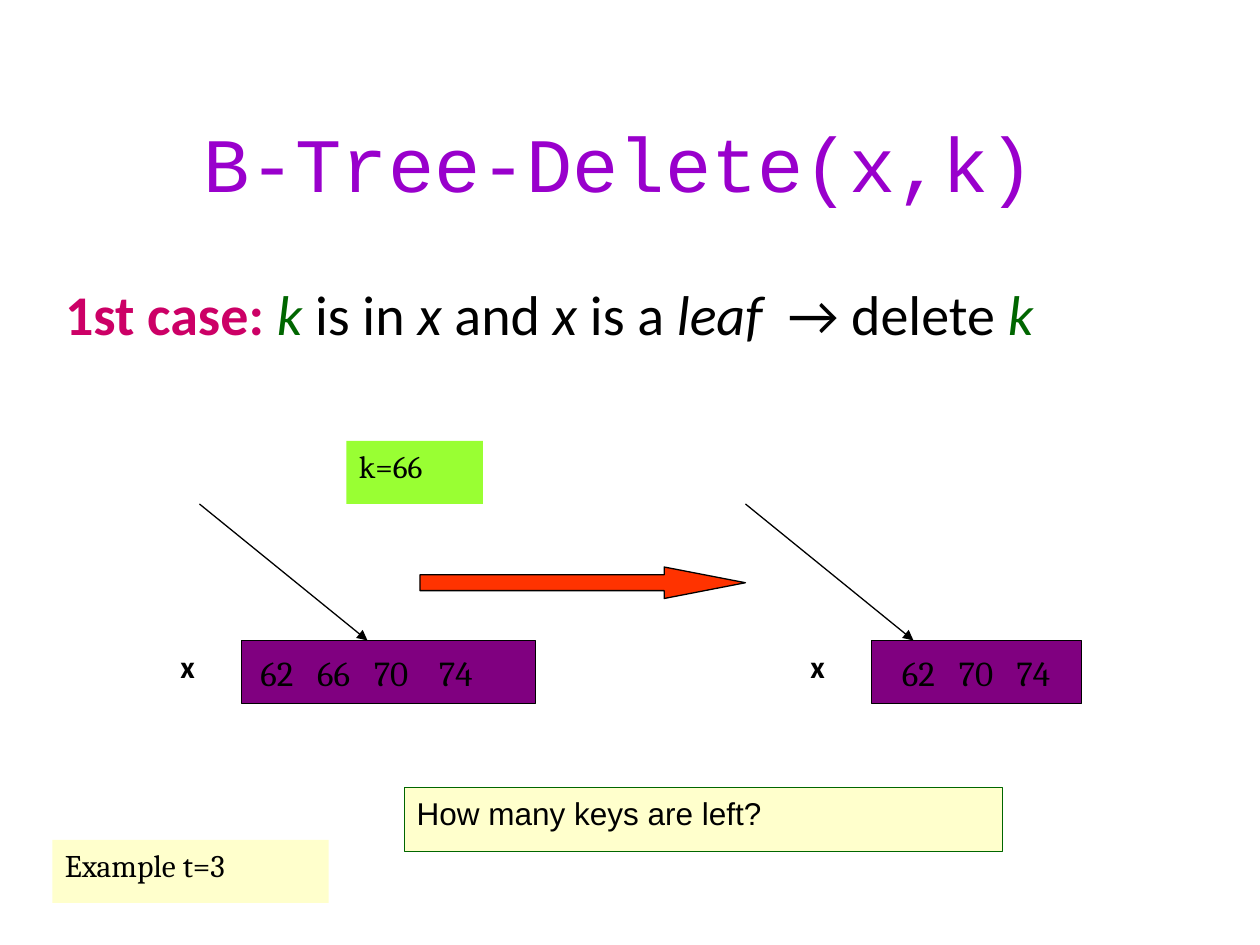
from dataclasses import dataclass
from typing import Optional

from lxml.etree import SubElement
from pptx import Presentation
from pptx.dml.color import RGBColor
from pptx.enum.shapes import MSO_CONNECTOR as Connector, MSO_SHAPE as Shape
from pptx.enum.text import MSO_ANCHOR as Anchor, MSO_AUTO_SIZE as AutoSize, PP_ALIGN as Align
from pptx.oxml.ns import qn
from pptx.util import Inches, Pt

COLUMNS, ROWS = 120, 90
WIDTH, HEIGHT = Inches(10), Inches(7.5)


@dataclass(frozen=True)
class Theme:
    black: str = "000000"
    title: str = "9900CC"
    case: str = "CC0066"
    key: str = "006600"
    node: str = "800080"
    arrow: str = "FF3300"
    lime: str = "99FF33"
    cream: str = "FFFFCC"
    title_size: int = 44
    body_size: int = 32
    node_size: int = 20
    note_size: int = 18
    line_width: float = 0.75
    title_font: str = "Courier New"
    body_font: str = "Calibri"
    serif: str = "Cambria"
    sans: str = "Arial"


@dataclass(frozen=True)
class Area:
    column: float
    row: float
    columns: float
    rows: float

    def lengths(self) -> tuple:
        return (across(self.column), down(self.row), across(self.columns), down(self.rows))


@dataclass(frozen=True)
class Node:
    area: Area
    keys: tuple
    inset: float
    stops: tuple
    pointer: tuple


@dataclass(frozen=True)
class Note:
    text: str
    area: Area
    font: str
    fill: Optional[str] = None
    line: Optional[str] = None
    bold: bool = False


@dataclass(frozen=True)
class Phrase:
    text: str
    color: str = "000000"
    bold: bool = False
    italic: bool = False


THEME = Theme()

NODES = [
    Node(Area(23, 61, 28, 6), ("62", "66", "70", "74"), 1.8, (5.4, 10.8, 17), (19, 35)),
    Node(Area(83, 61, 20, 6), ("62", "70", "74"), 2.9, (5.4, 10.9), (71, 87)),
]

NOTES = [
    Note("How many keys are left?", Area(38.5, 75, 57, 6.1), THEME.sans, THEME.cream, THEME.key),
    Note("k=66", Area(33, 42, 13, 6), THEME.serif, THEME.lime),
    Note("Example t=3", Area(5, 80, 26.3, 6), THEME.serif, THEME.cream),
    Note("x", Area(16, 61, 6, 6), THEME.body_font, bold=True),
    Note("x", Area(76, 61, 6, 6), THEME.body_font, bold=True),
]

CASE = [
    Phrase("1st case: ", THEME.case, bold=True),
    Phrase("k", THEME.key, italic=True),
    Phrase(" is in "),
    Phrase("x ", italic=True),
    Phrase("and "),
    Phrase("x", italic=True),
    Phrase(" is a"),
    Phrase(" leaf ", italic=True),
    Phrase(" → delete "),
    Phrase("k", THEME.key, italic=True),
]


def across(columns: float) -> int:
    return round(WIDTH * columns / COLUMNS)


def down(rows: float) -> int:
    return round(HEIGHT * rows / ROWS)


def style(span, font: str, size: int, color: str = THEME.black,
          bold: bool = False, italic: bool = False) -> None:
    span.font.name = font
    span.font.size = Pt(size)
    span.font.color.rgb = RGBColor.from_string(color)
    span.font.bold = bold
    span.font.italic = italic


def place(holder, area: Area) -> None:
    holder.left, holder.top, holder.width, holder.height = area.lengths()


def add_box(page, area: Area, fill: Optional[str], line: Optional[str], kind=Shape.RECTANGLE):
    box = page.shapes.add_shape(kind, *area.lengths())
    box.shadow.inherit = False
    if fill:
        box.fill.solid()
        box.fill.fore_color.rgb = RGBColor.from_string(fill)
    else:
        box.fill.background()
    if line:
        box.line.color.rgb = RGBColor.from_string(line)
        box.line.width = Pt(THEME.line_width)
    else:
        box.line.fill.background()
    return box


def add_pointer(page, start: float, end: float, top: float, bottom: float) -> None:
    pointer = page.shapes.add_connector(
        Connector.STRAIGHT, across(start), down(top), across(end), down(bottom))
    pointer.line.color.rgb = RGBColor.from_string(THEME.black)
    pointer.line.width = Pt(THEME.line_width)
    SubElement(pointer.line._get_or_add_ln(), qn("a:tailEnd"), type="triangle")
    SubElement(pointer._element.spPr, qn("a:effectLst"))


def add_node(page, node: Node) -> None:
    box = add_box(page, node.area, THEME.node, THEME.black)
    frame = box.text_frame
    frame.text = "\t".join(node.keys)
    frame.margin_left, frame.margin_right = across(node.inset), 0
    frame.vertical_anchor = Anchor.MIDDLE
    para = frame.paragraphs[0]
    para.alignment = Align.LEFT
    tabs = SubElement(para._p.get_or_add_pPr(), qn("a:tabLst"))
    for stop in node.stops:
        SubElement(tabs, qn("a:tab"), pos=str(across(stop)), algn="l")
    for span in para.runs:
        style(span, THEME.serif, THEME.node_size)
    add_pointer(page, *node.pointer, 48, node.area.row)


def add_note(page, note: Note) -> None:
    box = add_box(page, note.area, note.fill, note.line)
    frame = box.text_frame
    frame.text = note.text
    frame.word_wrap = True
    frame.vertical_anchor = Anchor.TOP
    frame.paragraphs[0].alignment = Align.LEFT
    style(frame.paragraphs[0].runs[0], note.font, THEME.note_size, bold=note.bold)


def fill_title(title) -> None:
    place(title, Area(8, 10, 102, 10.8))
    frame = title.text_frame
    frame.text = "B-Tree-Delete(x,k)"
    frame.auto_size = AutoSize.NONE
    frame.vertical_anchor = Anchor.MIDDLE
    frame.paragraphs[0].alignment = Align.CENTER
    style(frame.paragraphs[0].runs[0], THEME.title_font, THEME.title_size, THEME.title)


def fill_body(body) -> None:
    place(body, Area(5, 26, 111, 54))
    body.text_frame.auto_size = AutoSize.NONE
    para = body.text_frame.paragraphs[0]
    properties = para._p.get_or_add_pPr()
    properties.set("marL", str(across(4.5)))
    properties.set("indent", str(-across(4.5)))
    SubElement(properties, qn("a:buNone"))
    for phrase in CASE:
        span = para.add_run()
        span.text = phrase.text
        style(span, THEME.body_font, THEME.body_size, phrase.color, phrase.bold, phrase.italic)


def main() -> None:
    deck = Presentation()
    deck.slide_width, deck.slide_height = WIDTH, HEIGHT
    page = deck.slides.add_slide(deck.slide_layouts[1])
    fill_title(page.shapes.title)
    fill_body(page.placeholders[1])
    for node in NODES:
        add_node(page, node)
    arrow = add_box(page, Area(40, 54, 31, 3), THEME.arrow, THEME.black, Shape.RIGHT_ARROW)
    arrow.adjustments[1] = 2.58
    for note in NOTES:
        add_note(page, note)
    deck.save("out.pptx")


if __name__ == "__main__":
    main()
